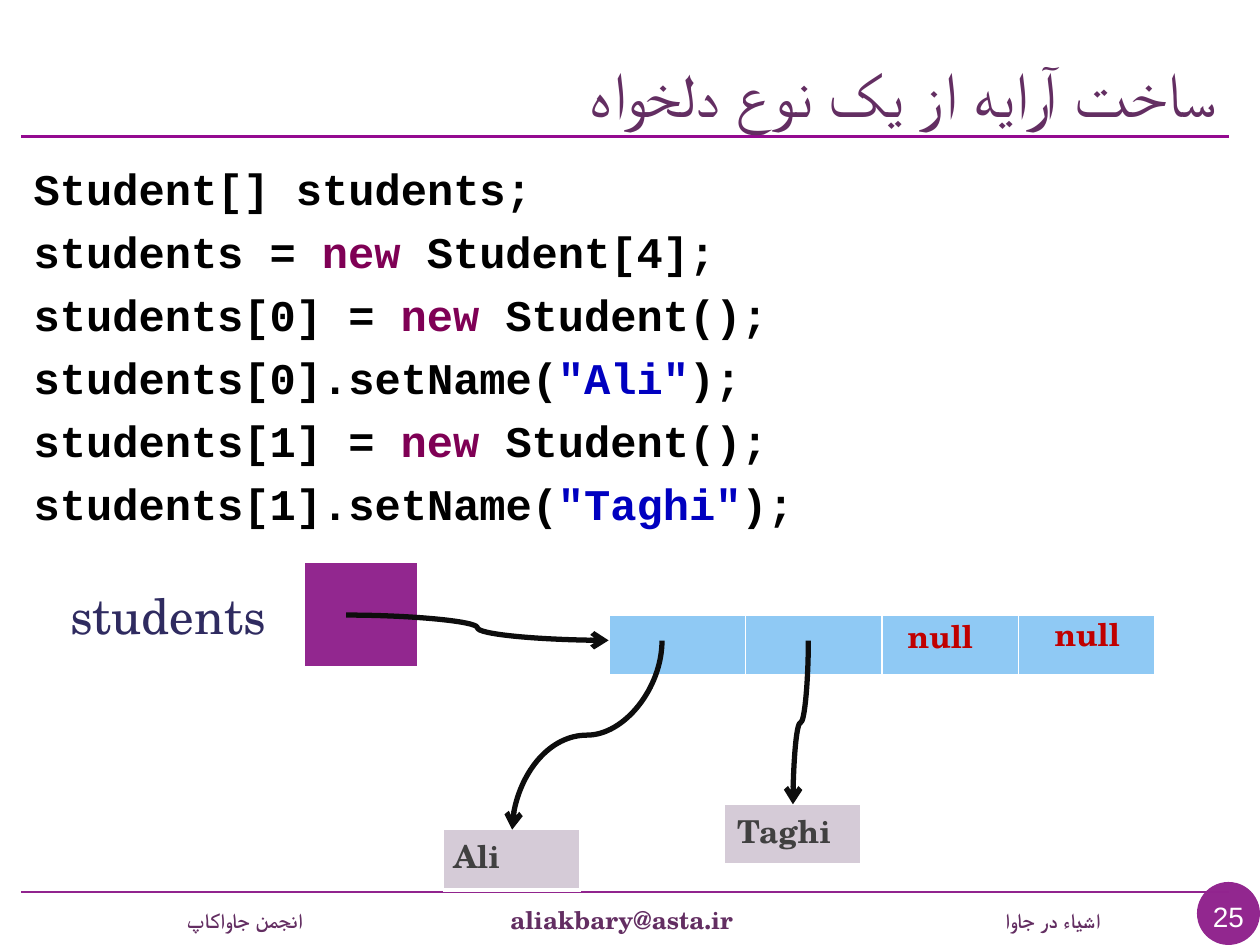
from lxml.etree import SubElement
from pptx import Presentation
from pptx.dml.color import RGBColor
from pptx.enum.shapes import MSO_CONNECTOR as Connector, MSO_SHAPE as Shape
from pptx.enum.text import MSO_ANCHOR as Anchor, PP_ALIGN as Align
from pptx.oxml.ns import qn
from pptx.util import Cm, Pt

SERIF = "TeX Gyre Schola"
PURPLE, PLUM, BLACK = "92278F", "632E62", "000000"
KEYWORD, STRING = "7F0055", "0000C0"


def color(value):
    return RGBColor.from_string(value)


def write(text, paragraph, size, fill, font=SERIF, bold=False, align=None, rtl=False):
    if align is not None:
        paragraph.alignment = align
    if rtl:
        paragraph._p.get_or_add_pPr().set("rtl", "1")
    run = paragraph.add_run()
    run.text = text
    run.font.size = Pt(size)
    run.font.bold = bold
    run.font.name = font
    run.font.color.rgb = color(fill)


presentation = Presentation()
presentation.slide_width = Cm(25.4)
presentation.slide_height = Cm(19.05)
slide = presentation.slides.add_slide(presentation.slide_layouts[6])
shapes = slide.shapes

badge = shapes.add_shape(Shape.OVAL, Cm(24.13), Cm(17.78), Cm(1.27), Cm(1.27))
label = shapes.add_shape(Shape.ROUNDED_RECTANGLE, Cm(0.85), Cm(11.35), Cm(5.08), Cm(2.11))
for shape, fill, text, size, font, ink in [
    (badge, PURPLE, "25", 16, "Arial", "FFFFFF"),
    (label, "FFFFFF", "students", 28, SERIF, "2F2B60"),
]:
    shape.shadow.inherit = False
    shape.fill.solid()
    shape.fill.fore_color.rgb = color(fill)
    shape.line.fill.background()
    frame = shape.text_frame
    frame.word_wrap = False
    frame.vertical_anchor = Anchor.MIDDLE
    write(text, frame.paragraphs[0], size, ink, font=font, align=Align.CENTER)
badge.text_frame.margin_bottom = 0

for y, width, line_color in [(2.75, 2, "940A90"), (17.98, 0.75, "91248E")]:
    rule = shapes.add_connector(Connector.STRAIGHT, Cm(0.43), Cm(y), Cm(24.77), Cm(y))
    rule.line.width = Pt(width)
    rule.line.color.rgb = color(line_color)
    SubElement(rule._element.spPr, qn("a:effectLst"))

for text, left, width, size, rtl in [
    ("اشیاء در جاوا", 15.44, 6.99, 12, True),
    ("aliakbary@asta.ir", 7.84, 7.19, 14, False),
    ("انجمن جاواکاپ", 1.27, 5.08, 12, True),
]:
    frame = shapes.add_textbox(Cm(left), Cm(18.03), Cm(width), Cm(1.02)).text_frame
    frame.word_wrap = True
    frame.vertical_anchor = Anchor.MIDDLE
    write(text, frame.paragraphs[0], size, PLUM, bold=True, align=Align.RIGHT, rtl=rtl)

title = shapes.add_textbox(Cm(0.43), Cm(0.64), Cm(24.34), Cm(2.11)).text_frame
title.word_wrap = True
title.vertical_anchor = Anchor.BOTTOM
write("ساخت آرايه از يک نوع دلخواه", title.paragraphs[0], 36, PLUM, align=Align.RIGHT, rtl=True)

code = shapes.add_textbox(Cm(0.43), Cm(3.14), Cm(24.34), Cm(14.8)).text_frame
code.word_wrap = True
code_lines = [
    [("Student[] students;", BLACK)],
    [("students = ", BLACK), ("new", KEYWORD), (" Student[4];", BLACK)],
]
for index, name in enumerate(["Ali", "Taghi"]):
    code_lines += [
        [(f"students[{index}] = ", BLACK), ("new", KEYWORD), (" Student();", BLACK)],
        [(f"students[{index}].setName(", BLACK), (f'"{name}"', STRING), (");", BLACK)],
    ]
for index, code_line in enumerate(code_lines):
    paragraph = code.add_paragraph() if index else code.paragraphs[0]
    if index:
        paragraph.space_before = Pt(6)
    for text, ink in code_line:
        write(text, paragraph, 25, ink, font="Courier New", bold=True)

for left, top, columns, column_width, height, fill in [
    (6.14, 11.33, 1, 2.29, 2.14, PURPLE),
    (12.28, 12.4, 4, 2.75, 1.23, "8FC9F4"),
    (8.94, 16.71, 1, 2.75, 1.23, "D5CBD7"),
    (14.61, 16.21, 1, 2.75, 1.23, "D5CBD7"),
]:
    table = shapes.add_table(
        1, columns, Cm(left), Cm(top), Cm(columns * column_width), Cm(height)
    ).table
    table.first_row = False
    table.horz_banding = False
    for cell in table.iter_cells():
        properties = cell._tc.get_or_add_tcPr()
        for side, width in [("lnL", 1), ("lnR", 1), ("lnT", 1), ("lnB", 3)]:
            border = SubElement(properties, qn(f"a:{side}"), w=str(Pt(width)))
            SubElement(SubElement(border, qn("a:solidFill")), qn("a:srgbClr"), val="FFFFFF")
        cell.fill.solid()
        cell.fill.fore_color.rgb = color(fill)

for left, top, width, height, degrees in [
    (6.98, 12.4, 5.29, 0.51, 0),
    (9.93, 13.31, 3.81, 3.02, 90),
    (14.49, 14.41, 3.3, 0.31, 90),
]:
    arrow = shapes.add_connector(
        Connector.CURVE, Cm(left), Cm(top), Cm(left + width), Cm(top + height)
    )
    arrow._element.spPr.find(qn("a:xfrm")).set("rot", str(degrees * 60000))
    arrow.line.width = Pt(3)
    arrow.line.color.rgb = color("0D0D0D")
    SubElement(arrow.line._get_or_add_ln(), qn("a:tailEnd"), type="arrow")
    SubElement(arrow._element.spPr, qn("a:effectLst"))

for text, left, top, width, ink in [
    ("null", 18.05, 12.32, 1.85, "C00000"),
    ("null", 21.01, 12.27, 1.85, "C00000"),
    ("Ali", 8.89, 16.75, 1.47, "404040"),
    ("Taghi", 14.61, 16.24, 2.44, "404040"),
]:
    frame = shapes.add_textbox(Cm(left), Cm(top), Cm(width), Cm(1.02)).text_frame
    frame.word_wrap = False
    write(text, frame.paragraphs[0], 18, ink, bold=True)

presentation.save("out.pptx")
